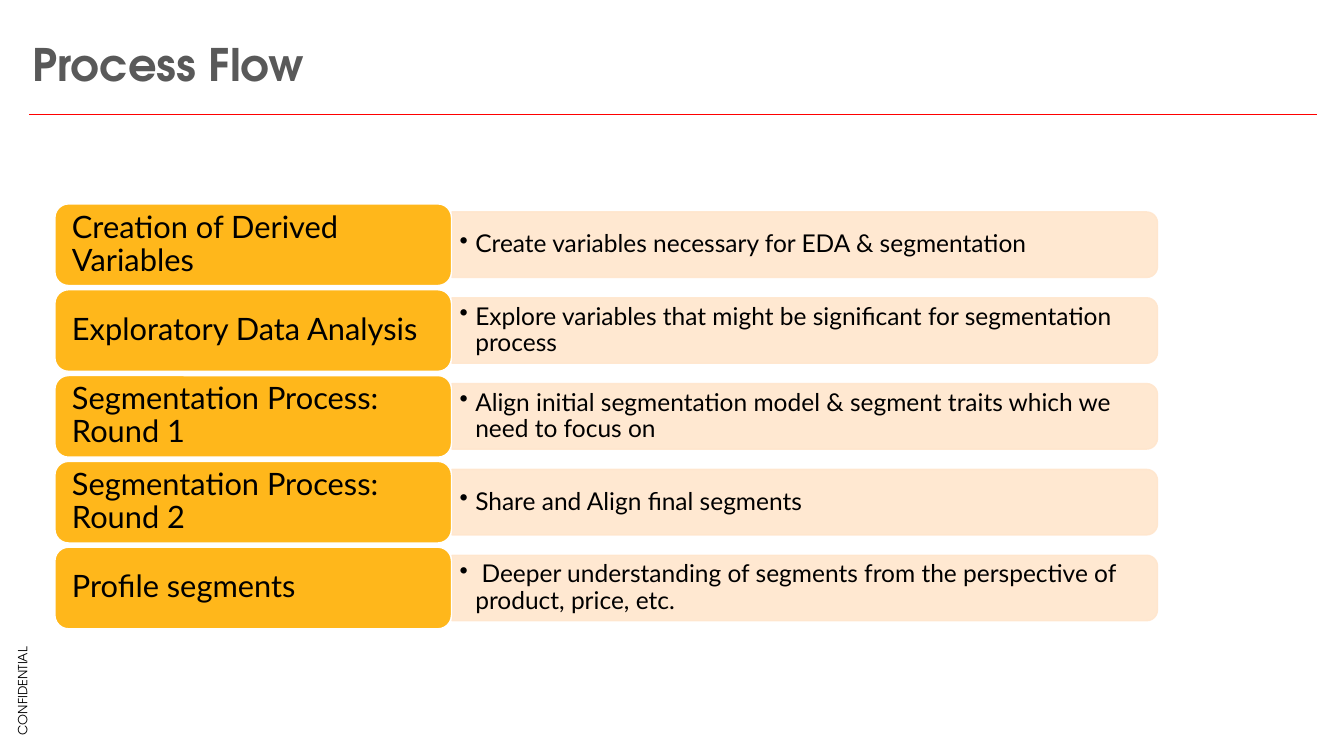
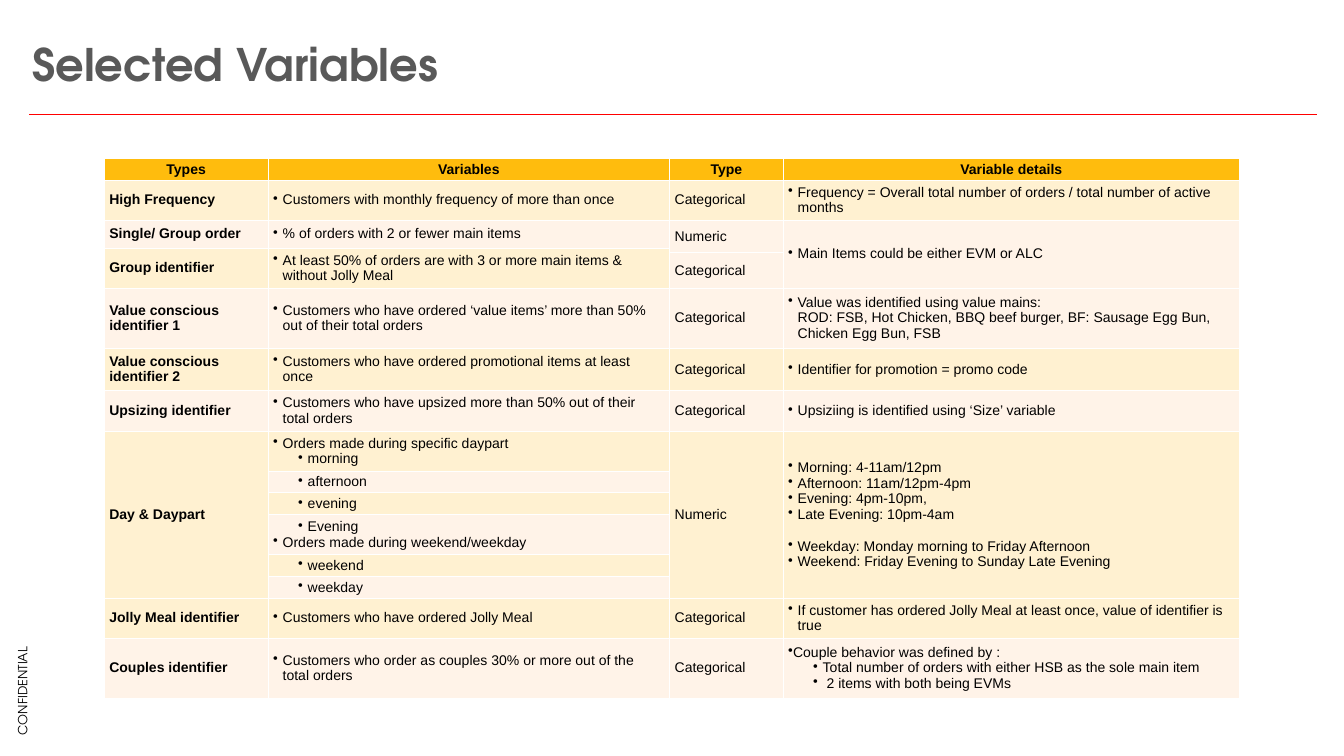
import pptx
import pptx.dml.color
import pptx.enum.shapes
import pptx.enum.text
import pptx.oxml
import pptx.oxml.ns
import pptx.util

Pt = pptx.util.Pt
RGB = pptx.dml.color.RGBColor
SHAPE = pptx.enum.shapes.MSO_SHAPE
ALIGN = pptx.enum.text.PP_ALIGN
MIDDLE = pptx.enum.text.MSO_ANCHOR.MIDDLE

BLACK = RGB(0x00, 0x00, 0x00)
WHITE = RGB(0xFF, 0xFF, 0xFF)
GREY = RGB(0x59, 0x59, 0x59)
RED = RGB(0xFF, 0x00, 0x00)
AMBER = RGB(0xFF, 0xB7, 0x1B)
PEACH = RGB(0xFF, 0xE6, 0xCD)
GOLD = RGB(0xFF, 0xBC, 0x0D)
CREAM = RGB(0xFF, 0xF1, 0xD1)
BLUSH = RGB(0xFF, 0xF3, 0xE8)

HEAD_FONT, STEP_FONT, GRID_FONT = "TeX Gyre Adventor", "Lato", "Arial"

STEPS = [
    ("Creation of Derived Variables", "Create variables necessary for EDA & segmentation"),
    ("Exploratory Data Analysis",
     "Explore variables that might be significant for segmentation process"),
    ("Segmentation Process: Round 1",
     "Align initial segmentation model & segment traits which we need to focus on"),
    ("Segmentation Process: Round 2", "Share and Align final segments"),
    ("Profile segments",
     " Deeper understanding of segments from the perspective of product, price, etc."),
]

# Left margin and first-line indent of each bullet mark used in ROWS
MARKS = {"-": (13.7, -13.7), "--": (49.5, -13.7), "+": (0, -13.7)}
COLS = [234, 573.8, 162, 652.3]
# Row height, then cell texts; an empty line widens the gap, None is a merged cell
ROWS = [
    (28.8, "Types", "Variables", "Type", "Variable details"),
    (56.9, "High Frequency", "- Customers with monthly frequency of more than once",
     "Categorical",
     "- Frequency = Overall total number of orders / total number of active months"),
    (40.3, "Single/ Group order", "- % of orders with 2 or fewer main items", "Numeric",
     "- Main Items could be either EVM or ALC"),
    (6.5, "Group identifier",
     "- At least 50% of orders are with 3 or more main items & without Jolly Meal",
     None, None),
    (50.4, None, None, "Categorical", None),
    (85.7, "Value conscious\nidentifier 1",
     "- Customers who have ordered ‘value items’ more than 50% out of their total orders",
     "Categorical",
     "- Value was identified using value mains:\vROD: FSB, Hot Chicken, BBQ beef burger, "
     "BF: Sausage Egg Bun, Chicken Egg Bun, FSB"),
    (60.5, "Value conscious\nidentifier 2",
     "- Customers who have ordered promotional items at least once",
     "Categorical", "- Identifier for promotion = promo code"),
    (58.3, "Upsizing identifier",
     "- Customers who have upsized more than 50% out of their total orders",
     "Categorical", "- Upsiziing is identified using ‘Size’ variable"),
    (56.9, "Day & Daypart", "- Orders made during specific daypart\n-- morning", "Numeric",
     "- Morning: 4-11am/12pm\n- Afternoon: 11am/12pm-4pm\n- Evening: 4pm-10pm,\n"
     "- Late Evening: 10pm-4am\n\n- Weekday: Monday morning to Friday Afternoon\n"
     "- Weekend: Friday Evening to Sunday Late Evening"),
    (28.8, None, "-- afternoon", None, None),
    (28.8, None, "-- evening", None, None),
    (56.9, None, "-- Evening\n- Orders made during weekend/weekday", None, None),
    (28.8, None, "-- weekend", None, None),
    (28.8, None, "-- weekday", None, None),
    (56.9, "Jolly Meal identifier", "- Customers who have ordered Jolly Meal", "Categorical",
     "- If customer has ordered Jolly Meal at least once, value of identifier is true"),
    (85.7, "Couples identifier",
     "- Customers who order as couples 30% or more out of the total orders", "Categorical",
     "+ Couple behavior was defined by :\n"
     "-- Total number of orders with either HSB as the sole main item\n"
     "--  2 items with both being EVMs"),
]
# First row, last row, column
SPANS = [(2, 3, 2), (2, 4, 3), (3, 4, 0), (3, 4, 1), (8, 13, 0), (8, 13, 2), (8, 13, 3)]


def node(parent, tag, **attrs):
    """Append an XML child such as a:buChar."""
    child = parent.makeelement(pptx.oxml.ns.qn(tag), attrs)
    parent.append(child)
    return child


def bullet(para, left, first):
    props = para._p.get_or_add_pPr()
    props.set("marL", str(Pt(left)))
    props.set("indent", str(Pt(first)))
    node(props, "a:buChar", char="•")


def style(para, face, size, color=BLACK, bold=False):
    font = para.font
    font.name, font.size, font.bold = face, Pt(size), bold
    font.color.rgb = color


def write(shape, text, inset):
    """Put middle-anchored text in a shape and return its paragraph."""
    frame = shape.text_frame
    frame.word_wrap = True
    frame.vertical_anchor = MIDDLE
    frame.margin_left = frame.margin_right = Pt(inset[0])
    frame.margin_top = frame.margin_bottom = Pt(inset[1])
    para = frame.paragraphs[0]
    para.text = text
    para.alignment = ALIGN.LEFT
    return para


def text_box(slide, left, top, width, height, text, inset):
    box = slide.shapes.add_textbox(Pt(left), Pt(top), Pt(width), Pt(height))
    return box, write(box, text, inset)


def block(slide, kind, left, top, width, height, fill, line):
    shape = slide.shapes.add_shape(kind, Pt(left), Pt(top), Pt(width), Pt(height))
    shape.shadow.inherit = False
    shape.fill.solid()
    shape.fill.fore_color.rgb = fill
    shape.line.color.rgb = line
    shape.line.width = Pt(2)
    return shape


def add_page(deck, title):
    """Add a slide with the shared title, red rule and side note."""
    slide = deck.slides.add_slide(deck.slide_layouts[6])
    rule = slide.shapes.add_connector(
        pptx.enum.shapes.MSO_CONNECTOR.STRAIGHT, Pt(41.8), Pt(163), Pt(1881.4), Pt(163))
    rule.line.color.rgb = RED
    rule.line.width = Pt(1.25)
    node(rule._element.spPr, "a:effectLst")
    note, para = text_box(slide, -38.9, 972.7, 141.8, 28.8, "CONFIDENTIAL", (7.2, 3.6))
    note.rotation = 270
    note.text_frame.word_wrap = False
    para.alignment = ALIGN.CENTER
    style(para, HEAD_FONT, 18)
    _, para = text_box(slide, 41.8, 44.6, 1648.8, 91.4, title, (4.3, 4.3))
    style(para, HEAD_FONT, 64, GREY, True)
    return slide


def add_step(slide, mid, label, detail):
    """Draw one amber label and its peach bar, both centred on height mid."""
    long, thick = 1008, 93.6
    bar = block(slide, SHAPE.ROUND_2_SAME_RECTANGLE, 1149.8 - thick / 2, mid - long / 2,
                thick, long, PEACH, PEACH)
    bar.rotation = 90
    for tint in bar._element.spPr.iter(pptx.oxml.ns.qn("a:srgbClr")):
        node(tint, "a:alpha", val="90000")
    _, para = text_box(slide, 645.8, mid - 42.1, 1003, 84.2, detail, (10.8, 5))
    bullet(para, 22.5, -22.5)
    para.line_spacing = 0.9
    style(para, STEP_FONT, 35)
    tag = block(slide, SHAPE.ROUNDED_RECTANGLE, 78.5, mid - 58.3, 566.6, 116.6, AMBER, WHITE)
    para = write(tag, label, (18.7, 12))
    para.line_spacing = 0.9
    style(para, STEP_FONT, 44)


def fill_cell(cell, text, head, bold):
    """Write text lines, turning a leading mark into a bullet."""
    cell.vertical_anchor = MIDDLE
    gap, first = False, True
    for line in text.split("\n"):
        if not line:
            gap = True
            continue
        para = cell.text_frame.paragraphs[0] if first else cell.text_frame.add_paragraph()
        first = False
        mark, _, rest = line.partition(" ")
        if mark in MARKS:
            bullet(para, *MARKS[mark])
            line = rest
        para.text = line
        if gap:
            para.space_before = Pt(23)
            gap = False
        if head:
            para.alignment = ALIGN.CENTER
        style(para, GRID_FONT, 20, bold=bold)


def edge_cell(cell):
    """Give a cell thin white borders; they must precede its fill."""
    props = cell._tc.get_or_add_tcPr()
    for spot, side in enumerate("LRTB"):
        edge = node(props, "a:ln" + side, w=str(Pt(1)))
        node(node(edge, "a:solidFill"), "a:srgbClr", val=str(WHITE))
        props.insert(spot, edge)


def add_grid(slide):
    high = sum(row[0] for row in ROWS)
    grid = slide.shapes.add_table(len(ROWS), len(COLS), Pt(149), Pt(226.1),
                                  Pt(sum(COLS)), Pt(high)).table
    for col, width in zip(grid.columns, COLS):
        col.width = Pt(width)
    for top, end, col in SPANS:
        grid.cell(top, col).merge(grid.cell(end, col))
    for num, (height, *texts) in enumerate(ROWS):
        grid.rows[num].height = Pt(height)
        # Rows 4 and 5 share one band
        band = CREAM if (num + (num > 4)) % 2 else BLUSH
        for col, text in enumerate(texts):
            cell = grid.cell(num, col)
            cell.fill.solid()
            cell.fill.fore_color.rgb = band if num else GOLD
            edge_cell(cell)
            if text:
                fill_cell(cell, text, num == 0, num == 0 or col == 0)


def main():
    deck = pptx.Presentation()
    deck.slide_width, deck.slide_height = Pt(1920.24), Pt(1080)
    flow = add_page(deck, "Process Flow")
    for num, (label, detail) in enumerate(STEPS):
        add_step(flow, 349.6 + 122.6 * num, label, detail)
    add_grid(add_page(deck, "Selected Variables"))
    deck.save("out.pptx")


if __name__ == "__main__":
    main()
